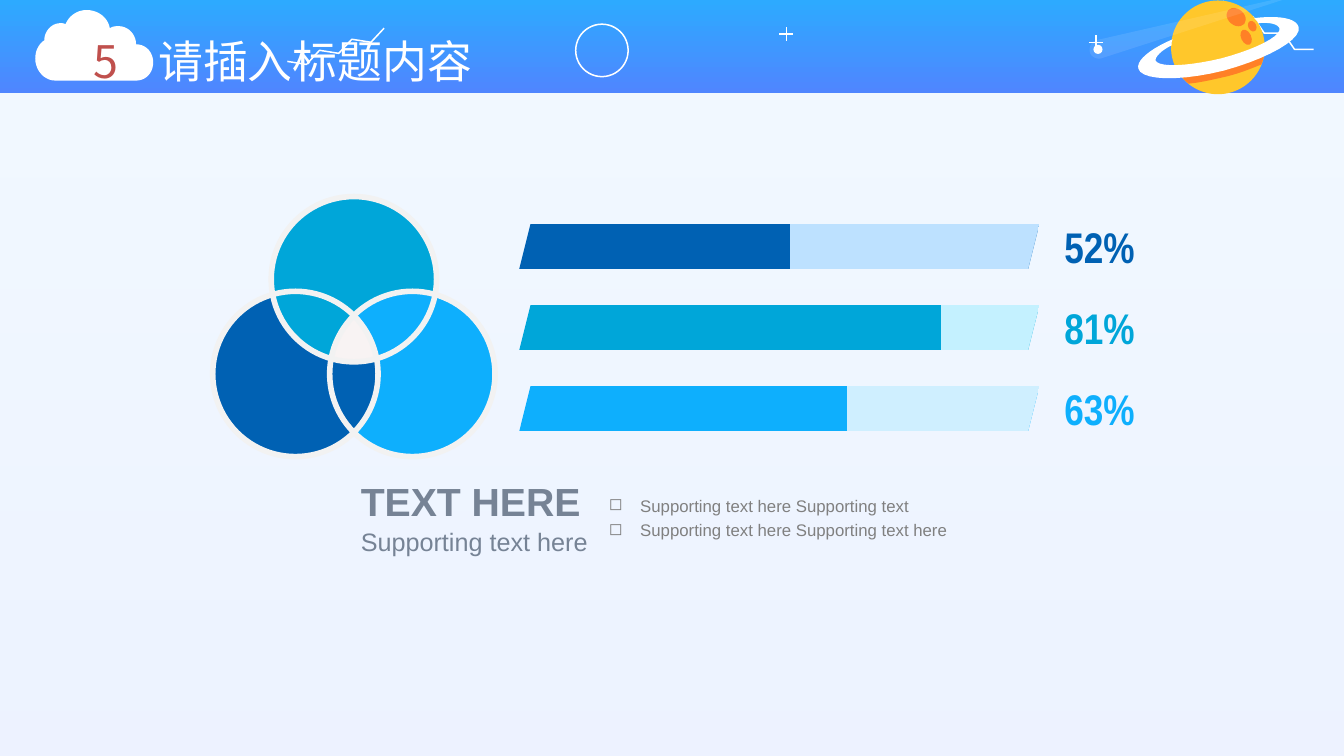
from dataclasses import dataclass
from math import cos, radians, sin

from lxml import etree
from pptx import Presentation
from pptx.dml.color import RGBColor
from pptx.enum.shapes import MSO_CONNECTOR as LINE, MSO_SHAPE as SHAPE
from pptx.enum.text import MSO_ANCHOR as ANCHOR, MSO_AUTO_SIZE as AUTO, PP_ALIGN as ALIGN
from pptx.oxml.ns import qn
from pptx.util import Inches, Pt


@dataclass(frozen=True)
class Theme:
    white: str = "FFFFFF"
    sky: tuple = ("2DAAFF", "4F86FF")
    haze: tuple = ("81CBFF", "4F86FF")
    planet: str = "FFC72B"
    crater: str = "FF8026"
    number: str = "C0504D"
    navy: str = "0061B3"
    teal: str = "00A6D9"
    azure: str = "0EAFFD"
    tracks: tuple = ("BDE1FF", "C4F1FF", "CFEFFF")
    core: str = "F8F3F3"
    ring: str = "F2F2F2"
    slate: str = "768395"
    grey: str = "808080"
    font: str = "Arial"
    narrow: str = "Arial Narrow"
    cjk: str = "Noto Sans CJK SC"
    title: float = 32
    percent: float = 30.6
    heading: float = 28
    sub: float = 18
    body: float = 12
    thin: float = 1.08
    thick: float = 4


T = Theme()


# Shared helpers
def style(obj, fmt):
    for name, value in fmt.items():
        setattr(obj, name, value)


def paint(sp, fill=None, line=None, width=T.thin, alpha=None):
    sp.shadow.inherit = False
    if fill:
        sp.fill.solid()
        sp.fill.fore_color.rgb = RGBColor.from_string(fill)
        if alpha:
            clr = sp.fill._xPr.find(".//" + qn("a:srgbClr"))
            etree.SubElement(clr, qn("a:alpha"), val=str(alpha * 1000))
    else:
        sp.fill.background()
    if line:
        sp.line.color.rgb = RGBColor.from_string(line)
        sp.line.width = Pt(width)
    else:
        sp.line.fill.background()
    return sp


def gradient(sp, stops, angle=0, alpha=100):
    paint(sp, T.white)
    sp.fill.gradient()
    sp.fill.gradient_angle = -angle % 360
    gs_list = sp.fill._xPr.find(".//" + qn("a:gsLst"))
    for gs in list(gs_list):
        gs_list.remove(gs)
    for pos, color in stops:
        gs = etree.SubElement(gs_list, qn("a:gs"), pos=str(pos * 1000))
        clr = etree.SubElement(gs, qn("a:srgbClr"), val=color)
        if alpha < 100:
            etree.SubElement(clr, qn("a:alpha"), val=str(alpha * 1000))


def preset(s, kind, x, y, w, h):
    return s.shapes.add_shape(kind, Inches(x), Inches(y), Inches(w), Inches(h))


def oval(s, cx, cy, w, h, turn=0, **look):
    sp = paint(preset(s, SHAPE.OVAL, cx - w / 2, cy - h / 2, w, h), **look)
    sp.rotation = turn


def trace(start, *segments, steps=10):
    """Points along line (2 numbers) and cubic (6 numbers) segments."""
    pts = [start]
    for seg in segments:
        if len(seg) == 2:
            pts.append(seg)
            continue
        ctrl = [pts[-1], seg[:2], seg[2:4], seg[4:]]
        for i in range(1, steps + 1):
            t = i / steps
            weights = ((1 - t) ** 3, 3 * t * (1 - t) ** 2, 3 * t * t * (1 - t), t ** 3)
            pts.append(tuple(sum(k * c[a] for k, c in zip(weights, ctrl)) for a in (0, 1)))
    return pts


def outline(s, x, y, pts, closed=True, **look):
    emu = [(Inches(x + px), Inches(y + py)) for px, py in pts]
    builder = s.shapes.build_freeform(*emu[0], scale=1.0)
    builder.add_line_segments(emu[1:], close=closed)
    return paint(builder.convert_to_shape(), **look)


def text(s, x, y, w, h, paragraphs, frame=None, inset=None, para=None):
    """Each paragraph is a list of (words, font values, colour) runs."""
    tf = s.shapes.add_textbox(Inches(x), Inches(y), Inches(w), Inches(h)).text_frame
    style(tf, {"word_wrap": True, **(frame or {})})
    if inset is not None:
        sides = ("left", "top", "right", "bottom")
        style(tf, {f"margin_{side}": Inches(inset) for side in sides})
    for i, runs in enumerate(paragraphs):
        p = tf.paragraphs[0] if i == 0 else tf.add_paragraph()
        style(p, para or {})
        for words, font, color in runs:
            r = p.add_run()
            r.text = words
            style(r.font, font)
            r.font.color.rgb = RGBColor.from_string(color)
    return tf


# Header band
def header(s, x, y, w, h):
    gradient(preset(s, SHAPE.RECTANGLE, x, y, w, h), zip((0, 100), T.sky), 90)
    for start, moves in (((2.85, .61), ((.19, .03), (.13, -.14))),
                         ((12.13, .01), ((.11, .16), (.19, 0)))):
        pts = [start]
        for dx, dy in moves * 3:
            pts.append((pts[-1][0] + dx, pts[-1][1] + dy))
        outline(s, x, y, pts, closed=False, line=T.white)
    oval(s, x + 5.97, y + .5, .52, .52, line=T.white)
    for cx, cy in ((10.87, .42), (7.8, .34)):
        for dx, dy in ((.07, 0), (0, .07)):
            ends = (x + cx - dx, y + cy - dy, x + cx + dx, y + cy + dy)
            c = s.shapes.add_connector(LINE.STRAIGHT, *map(Inches, ends))
            c.line.color.rgb = RGBColor.from_string(T.white)
            c.line.width = Pt(T.thin)
            etree.SubElement(c._element.spPr, qn("a:effectLst"))
    planet(s, x + 11.28, y)
    oval(s, x + 10.89, y + .49, .09, .09, fill=T.white)
    beam = trace((12.72, 0), (10.92, .58), (10.87, .59, 10.82, .56, 10.81, .52),
                 (10.8, .47, 10.82, .42, 10.87, .4), (12.62, 0))
    outline(s, x, y, beam, fill=T.white, alpha=10)


def planet(s, x, y):
    oval(s, x + .8, y + .47, .93, .93, fill=T.planet)
    stripe = trace((1.23, .64), (1.25, .59, 1.26, .55, 1.27, .49), (1.17, .55, 1.02, .6, .85, .64),
                   (.68, .68, .53, .71, .41, .71), (.44, .76, .47, .8, .51, .83),
                   (.62, .82, .75, .79, .88, .76), (1.01, .73, 1.13, .68, 1.23, .64))
    outline(s, x, y, stripe, fill=T.crater)
    ring = trace((1.16, .18), (1.17, .19, 1.19, .21, 1.2, .23), (1.32, .22, 1.39, .24, 1.41, .28),
                 (1.43, .36, 1.17, .49, .83, .58), (.49, .66, .21, .67, .18, .6),
                 (.18, .56, .24, .5, .34, .45), (.34, .43, .34, .41, .35, .39),
                 (.12, .49, -.01, .6, .01, .68), (.04, .8, .42, .81, .86, .7),
                 (1.3, .58, 1.63, .39, 1.6, .27), (1.58, .18, 1.4, .15, 1.16, .18))
    outline(s, x, y, ring, fill=T.white)
    for cx, cy, w, h, turn in ((.98, .17, .21, .16, 40), (1.14, .26, .08, .11, -25),
                               (1.08, .37, .1, .16, -25)):
        oval(s, x + cx, y + cy, w, h, turn, fill=T.crater)


# Cloud with the section number, and the title
def title(s, x, y, w, h):
    cloud = trace((.51, 0), (.62, 0, .72, .07, .74, .18), (.77, .16, .8, .16, .83, .16),
                  (.92, .16, 1, .24, 1, .34), (1.1, .34, 1.17, .42, 1.17, .52),
                  (1.17, .62, 1.1, .7, 1, .7), (.2, .7), (.09, .7, 0, .6, 0, .48),
                  (0, .41, .03, .34, .09, .3), (.09, .21, .16, .13, .25, .13),
                  (.26, .13, .28, .13, .3, .14), (.34, .05, .42, 0, .51, 0))
    outline(s, x, y, cloud, fill=T.white)
    font = {"name": T.cjk, "size": Pt(T.title)}
    tf = text(s, x, y + .19, w, h - .19,
              [[("5", font, T.number), ("请插入标题内容", font, T.white)]],
              {"auto_size": AUTO.SHAPE_TO_FIT_TEXT}, para={"alignment": ALIGN.CENTER})
    number, words = tf.paragraphs[0].runs
    number.font._element.set("spc", "2870")  # gap between number and title
    latin = words.font._element.find(qn("a:latin"))
    latin.addnext(latin.makeelement(qn("a:ea"), {"typeface": T.cjk}))


# Three overlapping circles
def venn(s, x, y, w, h):
    rad = .82
    top, left, right = (w / 2, rad), (rad, h - rad), (w - rad, h - rad)

    def arc(center, a, b, steps=24):
        angles = (radians(a + (b - a) * i / steps) for i in range(steps + 1))
        return [(center[0] + rad * cos(t), center[1] + rad * sin(t)) for t in angles]

    circles = ((left, T.navy), (top, T.teal), (right, T.azure))
    for (cx, cy), color in circles:
        oval(s, x + cx, y + cy, 2 * rad, 2 * rad, fill=color)
    outline(s, x, y, arc(left, -45, 45) + arc(right, 135, 225), fill=T.navy)
    middle = arc(left, -45, -10.5) + arc(top, 74.5, 105.5) + arc(right, 190.5, 225)
    outline(s, x, y, middle, fill=T.core)
    for (cx, cy), _ in circles:
        oval(s, x + cx, y + cy, 2 * rad, 2 * rad, line=T.ring, width=T.thick)


# Percentage bars
def bars(s, x, y, w, h):
    bar_h, label_w = .45, .71
    pitch = (h - bar_h) / 2
    rows = zip((52, 81, 63), (T.navy, T.teal, T.azure), T.tracks)
    for i, (value, color, track) in enumerate(rows):
        top = y + i * pitch
        stops = ((0, color), (value, color), (value, track), (100, track))
        gradient(preset(s, SHAPE.PARALLELOGRAM, x, top, 5.16, bar_h), stops)
        font = {"name": T.narrow, "size": Pt(T.percent), "bold": True}
        text(s, x + w - label_w, top, label_w, bar_h, [[(f"{value}%", font, color)]],
             {"word_wrap": False, "vertical_anchor": ANCHOR.MIDDLE}, 0,
             {"alignment": ALIGN.CENTER})


# Heading and bullets under the chart
def caption(s, x, y, w, h):
    big = {"name": T.font, "size": Pt(T.heading), "bold": True}
    text(s, x, y, 2.6, .57, [[("TEXT HERE", big, T.slate)]])
    sub = {"name": T.font, "size": Pt(T.sub)}
    text(s, x, y + .48, 2.6, .4, [[("Supporting text here", sub, T.slate)]])
    body = {"name": T.font, "size": Pt(T.body)}
    lines = ("Supporting text here Supporting text", "Supporting text here Supporting text here")
    tf = text(s, x + w - 3.8, y + .19, 3.8, .58, [[(words, body, T.grey)] for words in lines],
              {"word_wrap": False}, 0, {"line_spacing": 1.2})
    for p in tf.paragraphs:
        pPr = p._p.get_or_add_pPr()
        style_values = {"marL": Inches(.31), "indent": -Inches(.31)}
        for name, value in style_values.items():
            pPr.set(name, str(int(value)))
        etree.SubElement(pPr, qn("a:buChar"), char="◻")


def main():
    prs = Presentation()
    style(prs, {"slide_width": Inches(13.33), "slide_height": Inches(7.5)})
    s = prs.slides.add_slide(prs.slide_layouts[6])
    gradient(preset(s, SHAPE.RECTANGLE, 0, 0, 13.33, 7.5), zip((0, 100), T.haze), 90, alpha=10)
    header(s, 0, 0, 13.33, .92)
    venn(s, 2.11, 1.95, 2.8, 2.58)
    bars(s, 5.15, 2.22, 6.11, 2.06)
    caption(s, 3.48, 4.69, 6.36, .88)
    title(s, .35, .1, 4.91, .83)
    prs.save("out.pptx")


if __name__ == "__main__":
    main()
